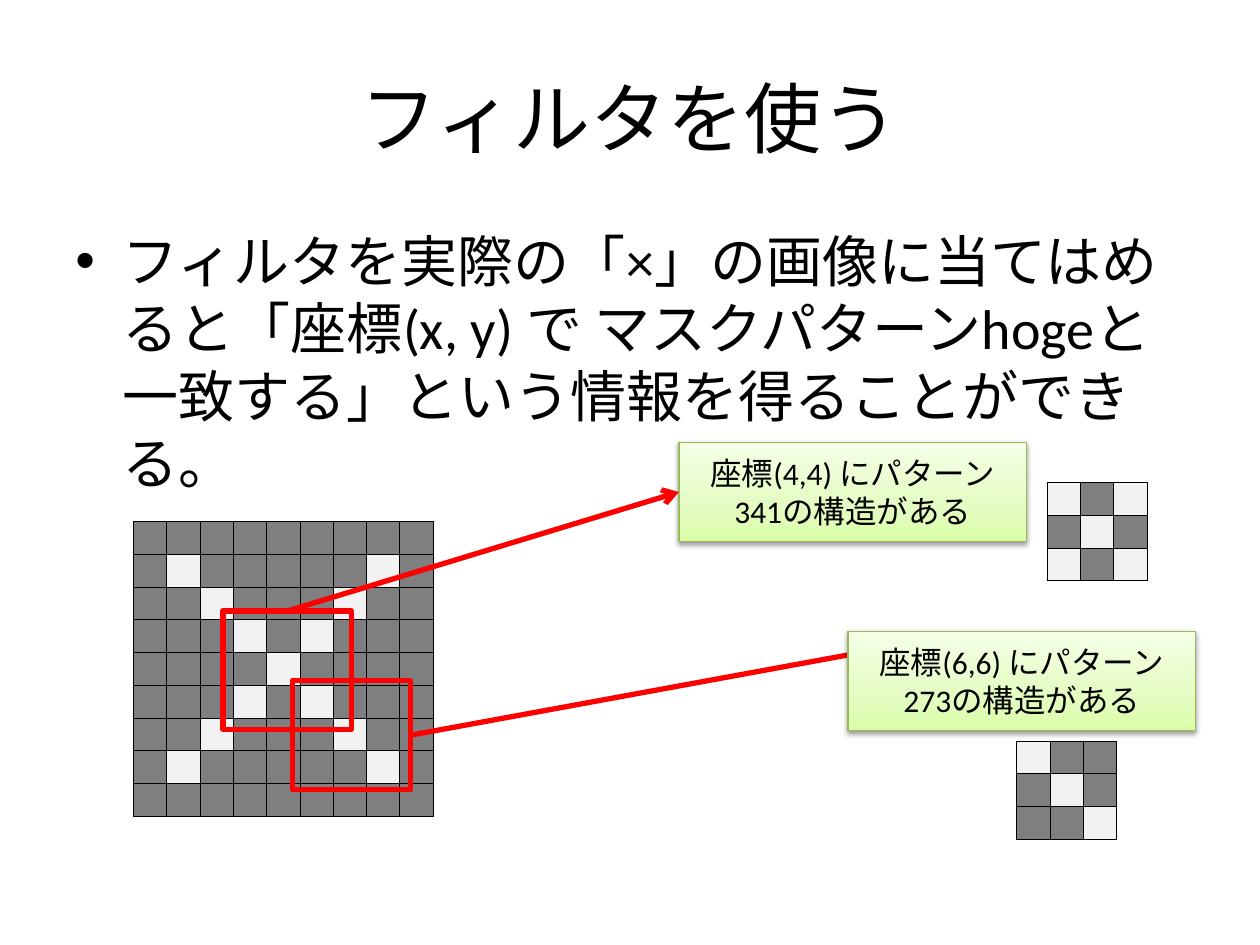
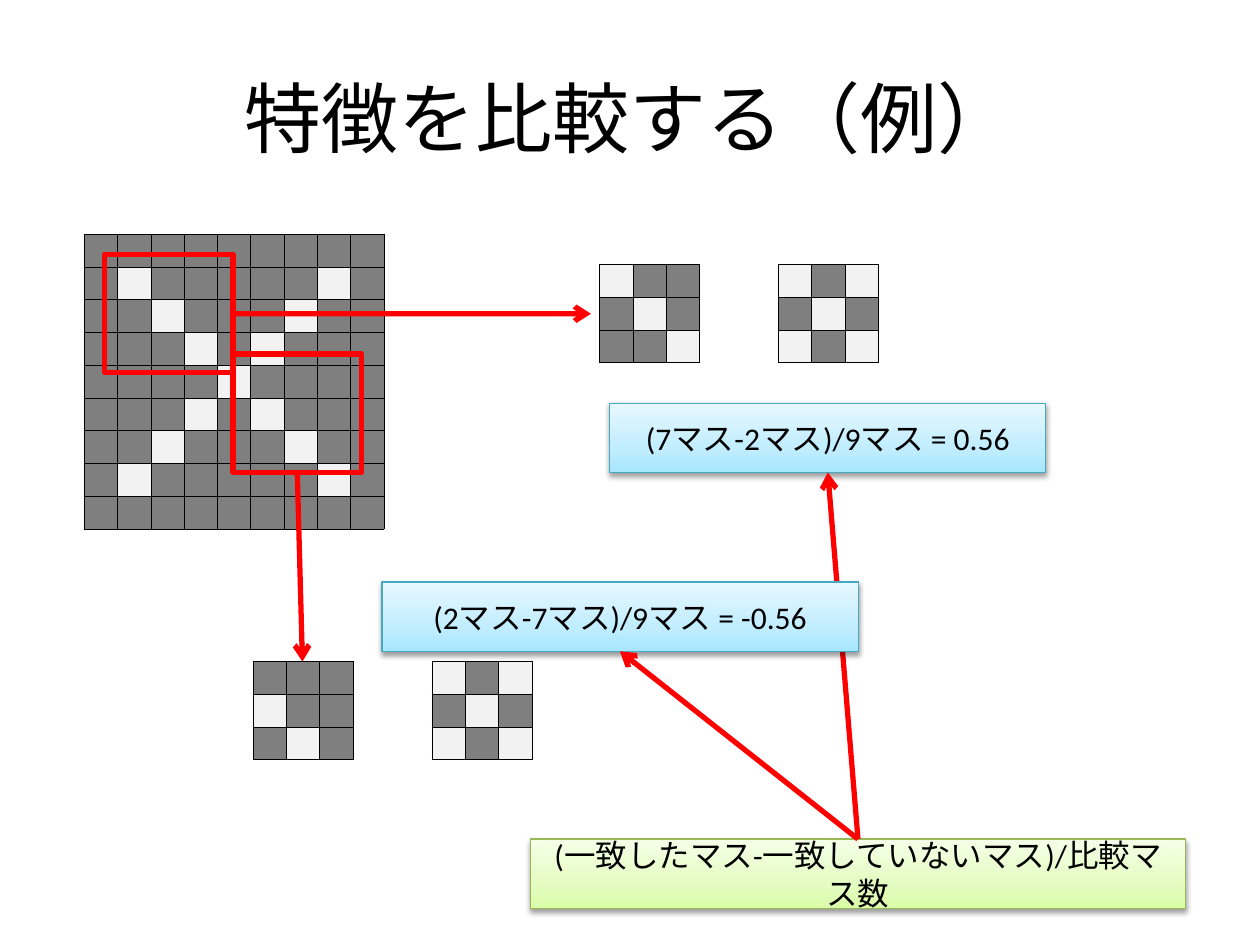
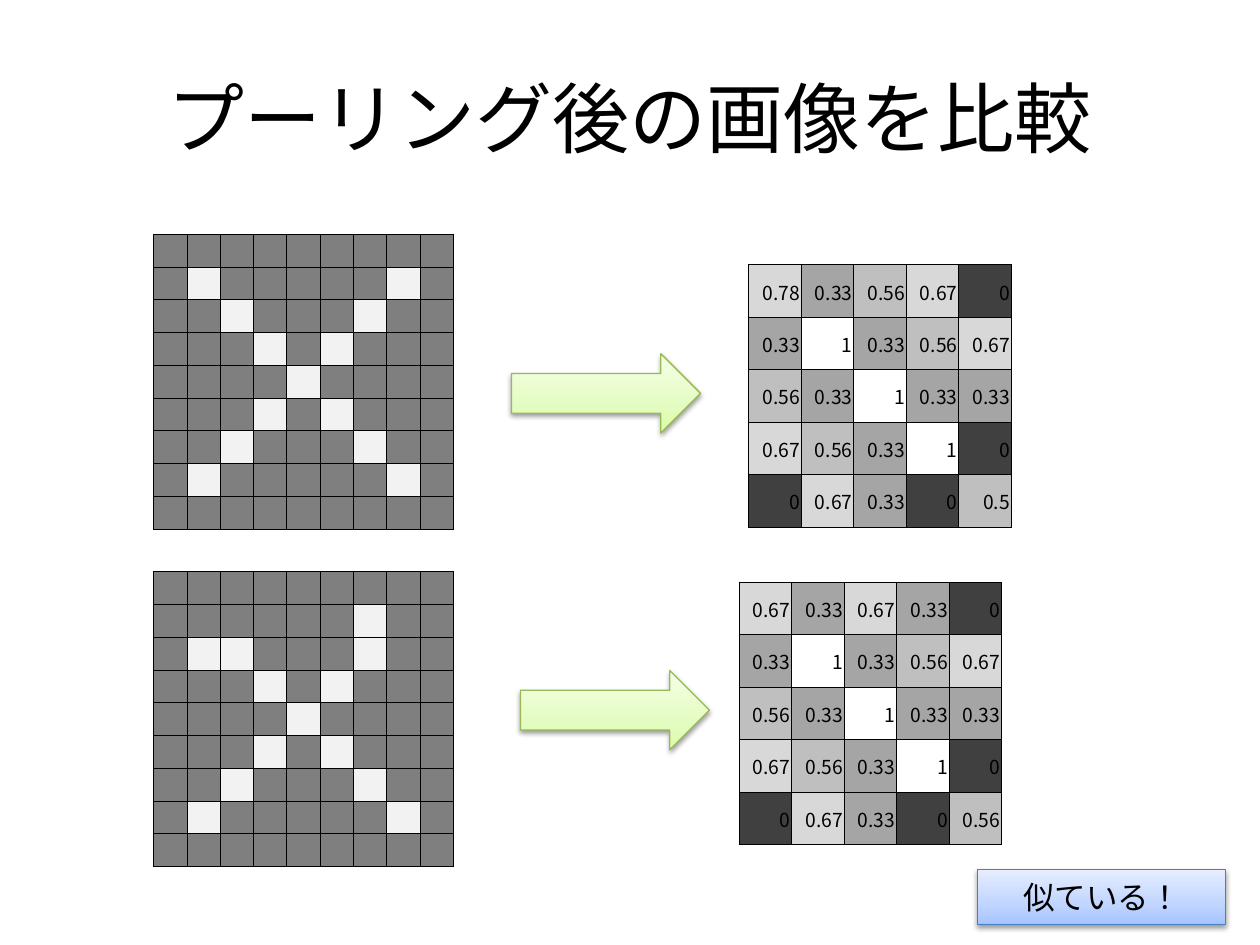
from copy import deepcopy

from lxml import etree
from pptx import Presentation
from pptx.dml.color import RGBColor
from pptx.enum import lang, shapes, text
from pptx.oxml.ns import qn
from pptx.util import Pt

BLACK = RGBColor(0x00, 0x00, 0x00)
WHITE = RGBColor(0xFF, 0xFF, 0xFF)
RED = RGBColor(0xFF, 0x00, 0x00)
PIXEL_OFF = RGBColor(0x7F, 0x7F, 0x7F)
PIXEL_ON = RGBColor(0xF2, 0xF2, 0xF2)
GREEN_EDGE = RGBColor(0x98, 0xB9, 0x55)
GREEN_RAMP = RGBColor(0xDA, 0xFD, 0xA7), RGBColor(0xE4, 0xFC, 0xC2), RGBColor(0xF5, 0xFF, 0xE7)
CYAN_EDGE = RGBColor(0x46, 0xAA, 0xC5)
CYAN_RAMP = RGBColor(0xA7, 0xE6, 0xFF), RGBColor(0xC1, 0xED, 0xFF), RGBColor(0xE7, 0xF8, 0xFF)
BLUE_EDGE = RGBColor(0x4B, 0x7E, 0xBC)
BLUE_RAMP = RGBColor(0xA4, 0xC4, 0xFF), RGBColor(0xBF, 0xD4, 0xFF), RGBColor(0xE6, 0xEE, 0xFF)
GREEN = GREEN_EDGE, GREEN_RAMP
CYAN = CYAN_EDGE, CYAN_RAMP
BLUE = BLUE_EDGE, BLUE_RAMP
RAMP_STOPS = 0, 0.35, 1

# Lowest score for each shade, darkest first
SCORE_SHADES = [
    (0, RGBColor(0x40, 0x40, 0x40)),
    (0.3, RGBColor(0xA5, 0xA5, 0xA5)),
    (0.5, RGBColor(0xBF, 0xBF, 0xBF)),
    (0.6, RGBColor(0xD8, 0xD8, 0xD8)),
    (1, WHITE),
]

BODY_FONT = "Calibri"
SCORE_FONT = "Noto Sans CJK JP"
TOP, LEFT, BOTTOM, RIGHT = range(4)
PIXEL_W, PIXEL_H = 19.04, 18.72
SCORE_SIDE = 30
FILTER_STEP = 102.2
WINDOW = 73.4, 67.7

CROSS = [
    ".........",
    ".x.....x.",
    "..x...x..",
    "...x.x...",
    "....x....",
    "...x.x...",
    "..x...x..",
    ".x.....x.",
    ".........",
]
SHIFTED_CROSS = [CROSS[0], "......x..", ".xx...x.."] + CROSS[3:]
DIAGONAL = ["x..", ".x.", "..x"]
SMALL_CROSS = ["x.x", ".x.", "x.x"]
HOOK = ["...", "x..", ".x."]

POOLED = [
    ["0.78", "0.33", "0.56", "0.67", "0"],
    ["0.33", "1", "0.33", "0.56", "0.67"],
    ["0.56", "0.33", "1", "0.33", "0.33"],
    ["0.67", "0.56", "0.33", "1", "0"],
    ["0", "0.67", "0.33", "0", "0.5"],
]
SHIFTED_POOLED = [
    ["0.67", "0.33", "0.67", "0.33", "0"],
    *POOLED[1:4],
    ["0", "0.67", "0.33", "0", "0.56"],
]


def points(*lengths):
    return [Pt(length) for length in lengths]


def style(paragraph, size, align, face=BODY_FONT):
    paragraph.alignment = align
    font = paragraph.font
    font.size, font.name = Pt(size), face
    font.color.rgb = BLACK
    font.language_id = lang.MSO_LANGUAGE_ID.JAPANESE
    latin = font._rPr.find(qn("a:latin"))
    east_asian = etree.Element(qn("a:ea"), typeface=face)
    latin.addnext(east_asian)


def text_area(slide, box, words, anchor):
    frame = slide.shapes.add_textbox(*points(*box)).text_frame
    frame.word_wrap = True
    frame.vertical_anchor = anchor
    frame.text = words
    return frame.paragraphs[0]


def titled_slide(prs, title):
    slide = prs.slides.add_slide(prs.slide_layouts[6])
    heading = text_area(slide, (36, 21.6, 648, 90), title, text.MSO_ANCHOR.MIDDLE)
    style(heading, 44, text.PP_ALIGN.CENTER)
    return slide


def bullet_text(slide, box, words):
    bullet = text_area(slide, box, words, text.MSO_ANCHOR.TOP)
    bullet.space_before = Pt(6.4)
    props = bullet._p.get_or_add_pPr()
    props.set("marL", str(Pt(27)))
    props.set("indent", str(-Pt(27)))
    etree.SubElement(props, qn("a:buFont"), typeface="Arial")
    etree.SubElement(props, qn("a:buChar"), char="•")
    style(bullet, 32, text.PP_ALIGN.LEFT)


def bordered_cell(cell, shade):
    props = cell._tc.get_or_add_tcPr()
    for side in "LRTB":
        border = etree.SubElement(props, qn(f"a:ln{side}"), w=str(Pt(0.5)))
        paint = etree.SubElement(border, qn("a:solidFill"))
        etree.SubElement(paint, qn("a:srgbClr"), val=str(BLACK))
    cell.fill.solid()
    cell.fill.fore_color.rgb = shade


def grid(slide, at, rows, cell_w, cell_h, fill_cell):
    """Add a table of equal cells, each finished by fill_cell(cell, value)."""
    count = len(rows)
    frame = slide.shapes.add_table(count, count, *points(*at, cell_w * count, cell_h * count))
    table = frame.table
    table.first_row = table.horz_banding = False
    for column in table.columns:
        column.width = Pt(cell_w)
    for row, values in zip(table.rows, rows):
        row.height = Pt(cell_h)
        for cell, value in zip(row.cells, values):
            fill_cell(cell, value)


def pixel_cell(cell, mark):
    bordered_cell(cell, PIXEL_ON if mark == "x" else PIXEL_OFF)
    cell.margin_top = cell.margin_bottom = 0
    etree.SubElement(cell.text_frame.paragraphs[0]._p, qn("a:endParaRPr"), sz="800")


def score_cell(cell, score):
    bordered_cell(cell, [shade for low, shade in SCORE_SHADES if float(score) >= low][-1])
    cell.margin_left = cell.margin_right = cell.margin_top = Pt(0.75)
    cell.margin_bottom = 0
    cell.vertical_anchor = text.MSO_ANCHOR.MIDDLE
    cell.text = score
    style(cell.text_frame.paragraphs[0], 11, text.PP_ALIGN.RIGHT, SCORE_FONT)


def pixels(slide, at, rows):
    grid(slide, at, rows, PIXEL_W, PIXEL_H, pixel_cell)


def scores(slide, at, rows):
    grid(slide, at, rows, SCORE_SIDE, SCORE_SIDE, score_cell)


def filter_pair(slide, left, top, found):
    """Place a found pattern beside the filter it is compared with."""
    for step, pattern in enumerate((found, SMALL_CROSS)):
        pixels(slide, (left + step * FILTER_STEP, top), pattern)


def window(slide, box):
    """Outline the part of the grid that a filter looks at."""
    outline = slide.shapes.add_shape(shapes.MSO_SHAPE.RECTANGLE, *points(*box))
    outline.shadow.inherit = False
    outline.fill.background()
    outline.line.color.rgb = RED
    outline.line.width = Pt(3)
    return outline


def glossy(slide, kind, box, scheme):
    edge, ramp = scheme
    panel = slide.shapes.add_shape(kind, *points(*box))
    panel.line.color.rgb = edge
    panel.line.width = Pt(0.75)
    panel.fill.gradient()
    panel.fill.gradient_angle = 90
    props = panel._element.spPr
    stop_list = props.find(".//" + qn("a:gsLst"))
    stop_list.append(deepcopy(stop_list[-1]))
    for stop, position, color in zip(panel.fill.gradient_stops, RAMP_STOPS, ramp):
        stop.position = position
        stop.color.rgb = color
    panel.shadow.inherit = False
    shadow = etree.SubElement(
        props.find(qn("a:effectLst")), qn("a:outerShdw"),
        blurRad=str(Pt(3.1)), dist=str(Pt(1.6)), dir="5400000", rotWithShape="0")
    tint = etree.SubElement(shadow, qn("a:srgbClr"), val=str(BLACK))
    etree.SubElement(tint, qn("a:alpha"), val="38000")
    return panel


def label(slide, box, words, scheme):
    panel = glossy(slide, shapes.MSO_SHAPE.RECTANGLE, box, scheme)
    frame = panel.text_frame
    frame.word_wrap = True
    frame.vertical_anchor = text.MSO_ANCHOR.MIDDLE
    frame.text = words
    style(frame.paragraphs[0], 18, text.PP_ALIGN.CENTER)
    return panel


def red_arrow(slide, source, side, target, target_side=None):
    """Point from a side of source to a point, or to a side of a target shape."""
    end = (0, 0) if target_side is not None else target
    arrow = slide.shapes.add_connector(shapes.MSO_CONNECTOR.STRAIGHT, *points(0, 0, *end))
    arrow.begin_connect(source, side)
    if target_side is not None:
        arrow.end_connect(target, target_side)
    arrow.line.color.rgb = RED
    arrow.line.width = Pt(3)
    etree.SubElement(arrow.line._get_or_add_ln(), qn("a:tailEnd"), type="arrow")
    etree.SubElement(arrow._element.spPr, qn("a:effectLst"))


def using_filters(prs):
    slide = titled_slide(prs, "フィルタを使う")
    bullet_text(slide, (36, 126, 648, 356.4),
                "フィルタを実際の「×」の画像に当てはめると「座標(x, y) で "
                "マスクパターンhogeと一致する」という情報を得ることができる。")
    pixels(slide, (76.3, 298.1), CROSS)
    pixels(slide, (581, 423.4), DIAGONAL)
    pixels(slide, (598.3, 275.8), SMALL_CROSS)
    center = window(slide, (127.4, 349.2, *WINDOW))
    corner = window(slide, (167, 388.8, 67.7, 62.6))
    center_note = label(slide, (388, 252.7, 198.7, 56.9),
                        "座標(4,4) にパターン341の構造がある", GREEN)
    red_arrow(slide, center, TOP, center_note, LEFT)
    red_arrow(slide, corner, RIGHT, (496, 372.2))
    label(slide, (484.6, 360.7, 198.7, 56.9), "座標(6,6) にパターン273の構造がある", GREEN)


def comparing_features(prs):
    slide = titled_slide(prs, "特徴を比較する（例）")
    pixels(slide, (48.2, 133.9), CROSS)
    filter_pair(slide, 342.7, 151.2, DIAGONAL)
    filter_pair(slide, 144.7, 378, HOOK)
    upper = window(slide, (59.8, 145.4, *WINDOW))
    lower = window(slide, (133.2, 202.3, *WINDOW))
    red_arrow(slide, upper, RIGHT, (337.7, 179.3))
    red_arrow(slide, lower, BOTTOM, (172.8, 378))
    match = label(slide, (348.5, 230.4, 249.1, 39.6), "(7マス-2マス)/9マス = 0.56", CYAN)
    formula = label(slide, (303.1, 479.5, 374.4, 39.6),
                    "(一致したマス-一致していないマス)/比較マス数", GREEN)
    red_arrow(slide, formula, TOP, match, BOTTOM)
    mismatch = label(slide, (218.2, 332.6, 272.2, 39.6), "(2マス-7マス)/9マス = -0.56", CYAN)
    red_arrow(slide, formula, TOP, mismatch, BOTTOM)


def pooling_row(slide, top, cross, arrow_at, scores_at, pooled):
    pixels(slide, (87.8, top), cross)
    glossy(slide, shapes.MSO_SHAPE.RIGHT_ARROW,
           (arrow_at[0], top + arrow_at[1], 108, 45.4), GREEN)
    scores(slide, (scores_at[0], top + scores_at[1]), pooled)


def comparing_pooled(prs):
    slide = titled_slide(prs, "プーリング後の画像を比較")
    pooling_row(slide, 133.9, CROSS, (292.3, 68.2), (427.9, 17.3), POOLED)
    pooling_row(slide, 326.7, SHIFTED_CROSS, (297.4, 56.4), (422.4, 5.9), SHIFTED_POOLED)
    label(slide, (558.7, 496.8, 141.8, 31.7), "似ている！", BLUE)


def main():
    prs = Presentation()
    prs.slide_width, prs.slide_height = points(720, 540)
    using_filters(prs)
    comparing_features(prs)
    comparing_pooled(prs)
    prs.save("out.pptx")


if __name__ == "__main__":
    main()
